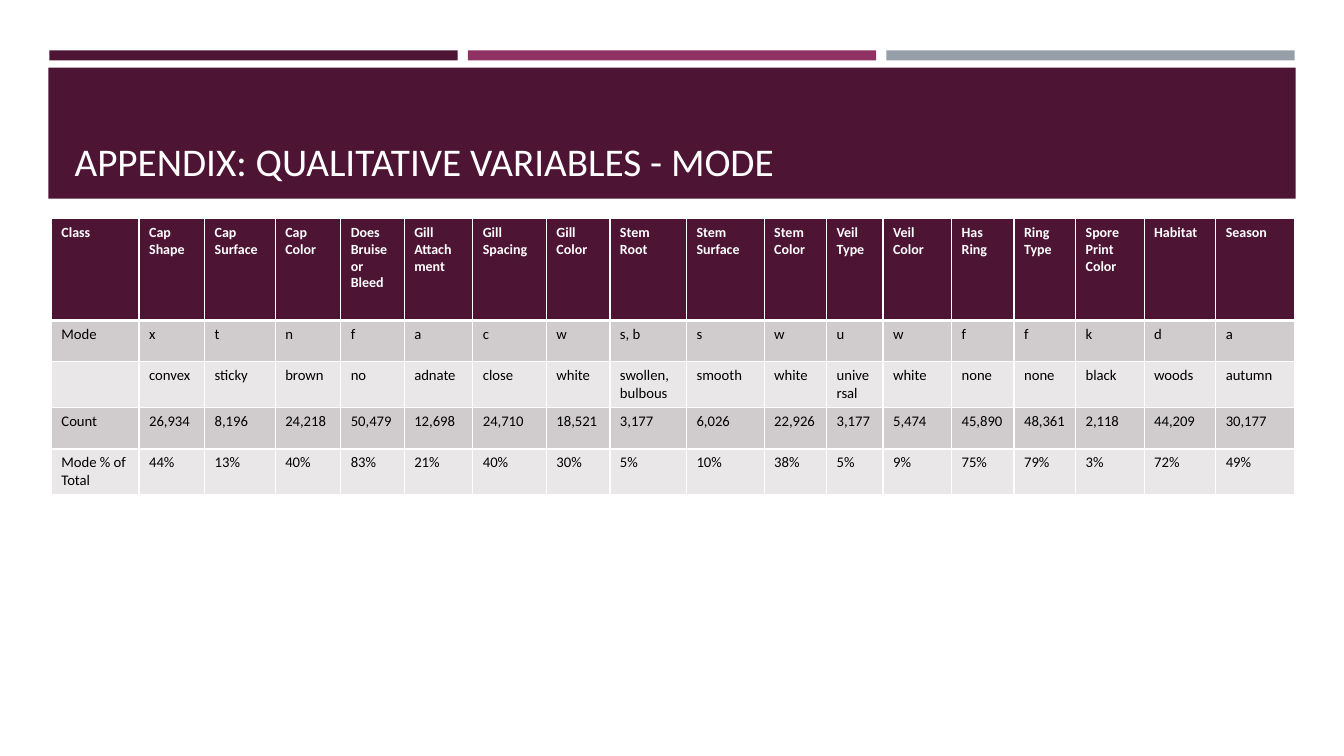
from pptx import Presentation
from pptx.dml.color import RGBColor as Rgb
from pptx.enum.shapes import MSO_SHAPE as Shape
from pptx.enum.text import MSO_ANCHOR as Anchor, MSO_AUTO_SIZE as Auto, PP_ALIGN as Align
from pptx.oxml.ns import qn
from pptx.util import Inches, Pt
from lxml.etree import SubElement as Sub

TITLE = "APPENDIX: QUALITATIVE VARIABLES - MODE"
COLUMNS = [
    ("Class", 0.87, "Mode", "", "Count", "Mode % of Total"),
    ("Cap Shape", 0.65, "x", "convex", "26,934", "44%"),
    ("Cap Surface", 0.7, "t", "sticky", "8,196", "13%"),
    ("Cap Color", 0.65, "n", "brown", "24,218", "40%"),
    ("Does Bruise or Bleed", 0.63, "f", "no", "50,479", "83%"),
    ("Gill Attachment", 0.68, "a", "adnate", "12,698", "21%"),
    ("Gill Spacing", 0.73, "c", "close", "24,710", "40%"),
    ("Gill Color", 0.63, "w", "white", "18,521", "30%"),
    ("Stem Root", 0.76, "s, b", "swollen, bulbous", "3,177", "5%"),
    ("Stem Surface", 0.77, "s", "smooth", "6,026", "10%"),
    ("Stem Color", 0.62, "w", "white", "22,926", "38%"),
    ("Veil Type", 0.56, "u", "universal", "3,177", "5%"),
    ("Veil Color", 0.68, "w", "white", "5,474", "9%"),
    ("Has Ring", 0.62, "f", "none", "45,890", "75%"),
    ("Ring Type", 0.61, "f", "none", "48,361", "79%"),
    ("Spore Print Color", 0.68, "k", "black", "2,118", "3%"),
    ("Habitat", 0.71, "d", "woods", "44,209", "72%"),
    ("Season", 0.78, "a", "autumn", "30,177", "49%"),
]
HEIGHTS = [1.01, 0.41, 0.41, 0.41, 0.41]
HEX = {"plum": "4D1434", "berry": "903163", "slate": "969FA7",
       "dark": "D0CCCE", "light": "E9E7E8", "white": "FFFFFF", "black": "000000"}
BARS = ["plum", "berry", "slate"]


def tint(fill, name):
    fill.solid()
    fill.fore_color.rgb = Rgb.from_string(HEX[name])


def put(frame, text, size=10.5, color="black", bold=False):
    line = frame.paragraphs[0]
    line.alignment = Align.LEFT
    line.font.size = Pt(size)
    if text:
        run = line.add_run()
        run.text = text
        font = run.font
        font.name, font.size, font.bold = "Calibri", Pt(size), bold
        font.color.rgb = Rgb.from_string(HEX[color])


def block(slide, left, top, width, height, color):
    box = slide.shapes.add_shape(Shape.RECTANGLE, *map(Inches, (left, top, width, height)))
    box.shadow.inherit = False
    tint(box.fill, color)
    box.line.fill.background()


def edge(cell, side, points):
    line = Sub(cell._tc.get_or_add_tcPr(), qn("a:ln" + side), w=str(Pt(points)))
    Sub(Sub(line, qn("a:solidFill")), qn("a:srgbClr"), val=HEX["white"])


def head(slide):
    for i, color in enumerate(BARS):
        block(slide, 0.49 + i * 4.15, 0.5, 4.05, 0.1, color)
    block(slide, 0.48, 0.67, 12.37, 1.3, "plum")
    title = slide.shapes.title
    title.left, title.top, title.width, title.height = map(Inches, (0.64, 0.77, 12.06, 1.11))
    frame = title.text_frame
    frame.auto_size, frame.word_wrap = Auto.NONE, True
    frame.vertical_anchor = Anchor.BOTTOM
    put(frame, TITLE, size=28, color="white")
    slide.shapes._spTree.append(title._element)


def grid(slide):
    table = slide.shapes.add_table(len(HEIGHTS), len(COLUMNS), Inches(0.51), Inches(2.17),
                                   Inches(12.34), Inches(sum(HEIGHTS))).table
    for row, height in zip(table.rows, HEIGHTS):
        row.height = Inches(height)
    for c, (name, width, *values) in enumerate(COLUMNS):
        table.columns[c].width = Inches(width)
        for r, text in enumerate([name, *values]):
            cell = table.cell(r, c)
            top = r == 0
            for side, points in zip("LRTB", (1, 1, 3 if r == 1 else 1, 3 if top else 1)):
                edge(cell, side, points)
            tint(cell.fill, "plum" if top else "dark" if r % 2 else "light")
            put(cell.text_frame, text, size=10 if top else 10.5,
                color="white" if top else "black", bold=top)


def main():
    deck = Presentation()
    deck.slide_width, deck.slide_height = Inches(13.33), Inches(7.5)
    slide = deck.slides.add_slide(deck.slide_layouts[5])
    head(slide)
    grid(slide)
    deck.save("out.pptx")


if __name__ == "__main__":
    main()
